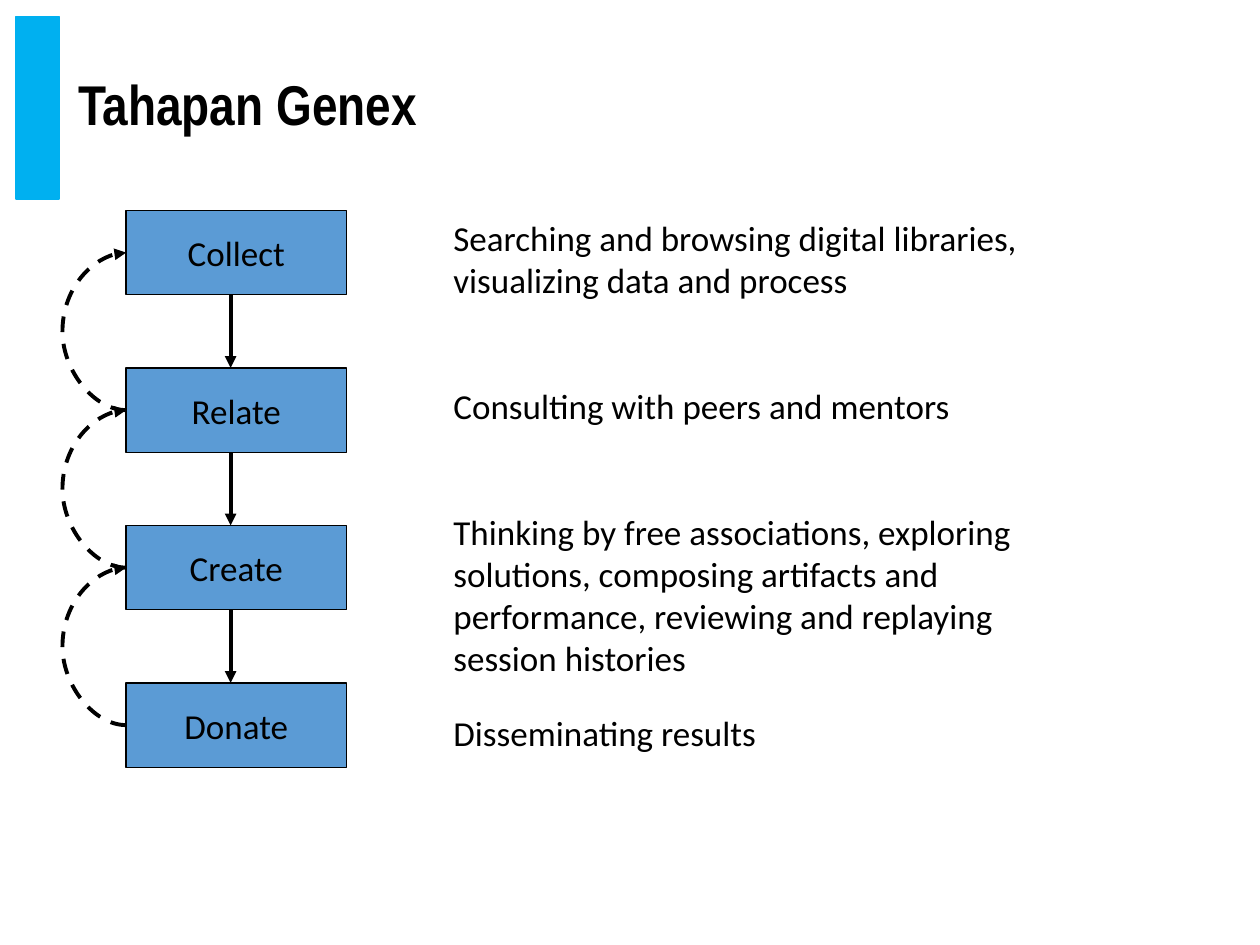
from lxml.etree import SubElement
from pptx import Presentation
from pptx.dml.color import RGBColor
from pptx.enum.dml import MSO_LINE
from pptx.enum.shapes import MSO_CONNECTOR, MSO_SHAPE
from pptx.enum.text import MSO_ANCHOR, MSO_AUTO_SIZE, PP_ALIGN
from pptx.oxml.ns import qn
from pptx.util import Emu, Inches, Pt

BLACK, BLUE, CYAN = "000000", "5B9BD5", "00B0F0"
STAGES = [
    ("Collect", "Searching and browsing digital libraries, visualizing data and process",
     (3.5, 1.67, 5.67, 0.77)),
    ("Relate", "Consulting with peers and mentors", (3.5, 3, 5.75, 0.44)),
    ("Create", "Thinking by free associations, exploring solutions, composing artifacts "
     "and performance, reviewing and replaying session histories", (3.5, 4, 5.08, 1.45)),
    ("Donate", "Disseminating results", (3.5, 5.6, 6.08, 0.44)),
]


def color(hex_value):
    """Return the colour for a hex string."""
    return RGBColor.from_string(hex_value)


def add_run(p, text, size=20, font="Calibri", bold=False):
    """Add one formatted black run to a paragraph."""
    r = p.add_run()
    r.text = text
    r.font.size, r.font.name, r.font.bold = Pt(size), font, bold
    r.font.color.rgb = color(BLACK)


def add_box(s, box, fill, line, width):
    """Add a flat rectangle with a fill and an outline."""
    sp = s.shapes.add_shape(MSO_SHAPE.RECTANGLE, *map(Inches, box))
    sp.shadow.inherit = False
    sp.fill.solid()
    sp.fill.fore_color.rgb = color(fill)
    sp.line.color.rgb = color(line)
    sp.line.width = Pt(width)
    return sp


def add_arrow(s, kind, x1, y1, x2, y2):
    """Add a black connector with a triangle at its end."""
    cxn = s.shapes.add_connector(kind, x1, y1, x2, y2)
    cxn.line.color.rgb = color(BLACK)
    cxn.line.width = Pt(2.25)
    SubElement(cxn.line._get_or_add_ln(), qn("a:tailEnd"), type="triangle")
    SubElement(cxn._element.spPr, qn("a:effectLst"))
    return cxn


def add_return_arrow(s, x, y1, y2, bulge):
    """Add a dashed curve that bows left from y1 up to y2."""
    span = Emu(1600)
    cxn = add_arrow(s, MSO_CONNECTOR.CURVE, Inches(x), Inches(y1), Inches(x) + span, Inches(y2))
    cxn.line.dash_style = MSO_LINE.DASH
    guides = cxn._element.spPr.find(qn("a:prstGeom")).get_or_add_avLst()
    ratio = round(-Inches(bulge) / span * 100000)
    SubElement(guides, qn("a:gd"), name="adj1", fmla=f"val {ratio}")


def add_header(s, box, text):
    """Place the accent bar and the title within the header box."""
    left, top, width, height = box
    add_box(s, (left, top, 0.34, height), CYAN, CYAN, 1)
    title = s.shapes.title
    title.left, title.top = Inches(left + 0.39), Inches(top)
    title.width, title.height = Inches(width - 0.39), Inches(height)
    tf = title.text_frame
    tf.auto_size = MSO_AUTO_SIZE.NONE
    tf.vertical_anchor = MSO_ANCHOR.MIDDLE
    p = tf.paragraphs[0]
    p.alignment, p.line_spacing = PP_ALIGN.LEFT, 0.9
    add_run(p, text, 32, "Arial Narrow", True)


def add_flow(s, box, labels):
    """Stack the stage boxes and join them with forward and return arrows."""
    left, top, width, height = box
    box_h = 0.67
    pitch = (height - box_h) / (len(labels) - 1)
    for i, label in enumerate(labels):
        y = top + i * pitch
        sp = add_box(s, (left, y, width, box_h), BLUE, BLACK, 0.75)
        tf = sp.text_frame
        tf.word_wrap = False
        tf.vertical_anchor = MSO_ANCHOR.MIDDLE
        p = tf.paragraphs[0]
        p.alignment = PP_ALIGN.CENTER
        add_run(p, label)
    for i in range(len(labels) - 1):
        y = top + i * pitch
        x = Inches(left + 0.83)
        add_arrow(s, MSO_CONNECTOR.STRAIGHT, x, Inches(y + box_h), x, Inches(y + pitch))
        middle = y + box_h / 2
        add_return_arrow(s, left, middle + pitch, middle, 0.56)


def add_description(s, box, text):
    """Add a wrapped description in the given box."""
    tf = s.shapes.add_textbox(*map(Inches, box)).text_frame
    tf.word_wrap = True
    tf.auto_size = MSO_AUTO_SIZE.SHAPE_TO_FIT_TEXT
    add_run(tf.paragraphs[0], text)


def main():
    """Build the slide and save it."""
    prs = Presentation()
    prs.slide_width, prs.slide_height = Inches(10), Inches(7.5)
    s = prs.slides.add_slide(prs.slide_layouts[5])
    add_header(s, (0.13, 0.13, 9.49, 1.45), "Tahapan Genex")
    add_flow(s, (1, 1.67, 1.75, 4.42), [label for label, _, _ in STAGES])
    for _, text, box in STAGES:
        add_description(s, box, text)
    prs.save("out.pptx")


main()
